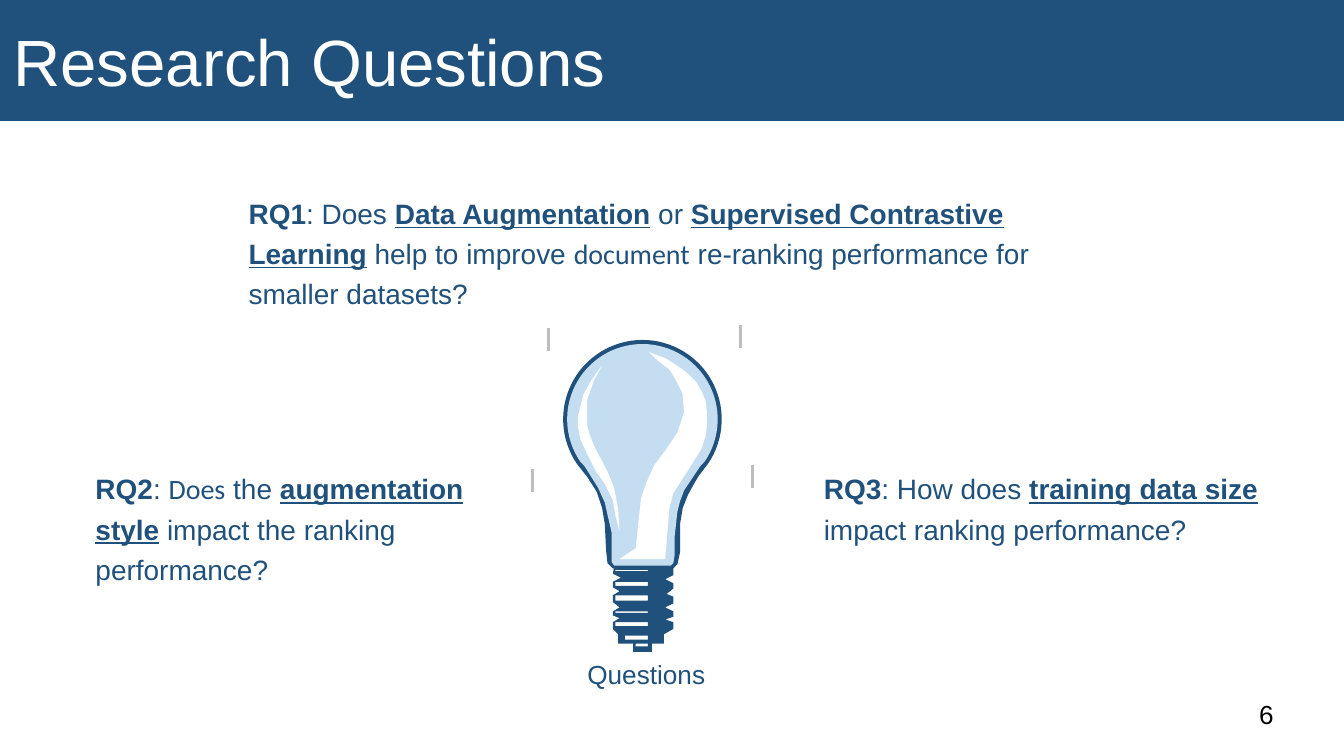
import math
from lxml import etree
from pptx import Presentation
from pptx import util as u
from pptx.dml.color import RGBColor
from pptx.enum import shapes, text

NAVY, PALE, WHITE, GREY, BLACK = "20517C", "C5DDF0", "FFFFFF", "BEBEBE", "000000"
SLIDE_WIDTH = u.Inches(10)
SLIDE_HEIGHT = SLIDE_WIDTH * 9 // 16
TITLE = "Research Questions"
PLAIN, BOLD, KEY, CALIBRI = "plain", "bold", "key", "calibri"

QUESTIONS = [
    ((1.78, 1.37, 6.53, 0.85), [
        ("RQ1", BOLD), (": Does ", PLAIN), ("Data Augmentation", KEY), (" or ", PLAIN),
        ("Supervised Contrastive Learning", KEY), (" help to improve ", PLAIN),
        ("document", CALIBRI), (" re-ranking performance for smaller datasets?", PLAIN)]),
    ((0.64, 3.42, 3.12, 0.94), [
        ("RQ2", BOLD), (": ", PLAIN), ("Does", CALIBRI), (" the ", PLAIN),
        ("augmentation style", KEY), (" impact the ranking performance?", PLAIN)]),
    ((6.06, 3.42, 3.47, 0.71), [
        ("RQ3", BOLD), (": How does ", PLAIN), ("training data size", KEY),
        (" impact ranking performance?", PLAIN)]),
]

BULB_CENTER = (4.78, 3.12)
OUTER_NECK = [
    (5.2, 3.54), (5.17, 3.59), (5.12, 3.68), (5.08, 3.78), (5.06, 3.9), (5.06, 4.11),
    (5.04, 4.2), (5.01, 4.23), (4.56, 4.23), (4.52, 4.19), (4.51, 4.1), (4.5, 3.9),
    (4.48, 3.78), (4.44, 3.66), (4.37, 3.55), (4.33, 3.5)]
INNER_NECK = [
    (5.21, 3.47), (5.09, 3.65), (5.06, 3.73), (5.04, 3.81), (5.03, 3.9), (5.02, 3.99),
    (5.02, 4.13), (5.01, 4.19), (4.99, 4.21), (4.57, 4.21), (4.55, 4.18), (4.55, 3.96),
    (4.52, 3.83), (4.5, 3.74), (4.45, 3.63), (4.35, 3.47)]
LEFT_GLINT = [
    (4.48, 2.72), (4.42, 2.83), (4.37, 2.97), (4.37, 3.17), (4.39, 3.24), (4.43, 3.34),
    (4.48, 3.43), (4.53, 3.53), (4.57, 3.63), (4.6, 3.79), (4.61, 3.95), (4.58, 3.84),
    (4.56, 3.72), (4.5, 3.6), (4.43, 3.5), (4.37, 3.38), (4.32, 3.27), (4.3, 3.18),
    (4.3, 3.1), (4.32, 3.02), (4.34, 2.94), (4.4, 2.83)]
RIGHT_GLINT = [
    (4.83, 2.62), (4.96, 2.67), (5.02, 2.71), (5.08, 2.75), (5.13, 2.79), (5.18, 2.84),
    (5.22, 2.91), (5.25, 2.98), (5.26, 3.07), (5.26, 3.17), (5.25, 3.25), (5.22, 3.34),
    (5.12, 3.5), (5.01, 3.67), (4.98, 3.79), (4.97, 3.92), (4.95, 4.16), (4.61, 4.16),
    (4.73, 4.08), (4.77, 3.71), (4.81, 3.59), (4.87, 3.46), (4.96, 3.34), (5.04, 3.22),
    (5.09, 3.07), (5.08, 2.93), (5.02, 2.81), (4.98, 2.75), (4.93, 2.71), (4.88, 2.67)]
SCREW = [
    (5.01, 4.23), (4.99, 4.21), (4.57, 4.21), (4.56, 4.27), (4.62, 4.3), (4.56, 4.33),
    (4.56, 4.37), (4.61, 4.4), (4.56, 4.43), (4.56, 4.48), (4.61, 4.52), (4.56, 4.55),
    (4.56, 4.58), (4.61, 4.6), (4.56, 4.63), (4.56, 4.68), (4.6, 4.72), (4.6, 4.79),
    (4.71, 4.79), (4.71, 4.85), (4.85, 4.85), (4.85, 4.79), (4.94, 4.79), (4.94, 4.72),
    (5.01, 4.68), (5.01, 4.63), (4.95, 4.61), (5.01, 4.59), (5.01, 4.55), (4.95, 4.52),
    (5.01, 4.49), (5.01, 4.44), (4.96, 4.42), (5.01, 4.38), (5.01, 4.34), (4.95, 4.31),
    (5.01, 4.28)]
SLOT_RIGHT = 4.82
SLOTS = [(4.58, 4.24, 4.25), (4.58, 4.33, 4.36), (4.58, 4.43, 4.47), (4.58, 4.55, 4.56),
         (4.58, 4.63, 4.66), (4.65, 4.73, 4.76), (4.73, 4.79, 4.81)]
RAY_LENGTH = 0.17
RAYS = [(5.51, 2.42), (4.08, 2.44), (3.96, 3.49), (5.6, 3.46)]


def color(value):
    return RGBColor.from_string(value)


def set_fill(shape, value):
    shape.fill.solid()
    shape.fill.fore_color.rgb = color(value)
    shape.line.fill.background()


def set_font(font, size, value):
    font.name, font.size = "Arial", u.Pt(size)
    font.color.rgb = color(value)


def set_frame(frame, horizontal, vertical, anchor):
    frame.word_wrap = True
    frame.auto_size = text.MSO_AUTO_SIZE.NONE
    frame.vertical_anchor = anchor
    frame.margin_left = frame.margin_right = u.Inches(horizontal)
    frame.margin_top = frame.margin_bottom = u.Inches(vertical)


def add_text(container, box, runs, size, value=NAVY, margins=(0.07, 0.04),
             anchor=text.MSO_ANCHOR.TOP, spacing=None):
    frame = container.add_textbox(*map(u.Inches, box)).text_frame
    set_frame(frame, *margins, anchor)
    paragraph = frame.paragraphs[0]
    paragraph.line_spacing = spacing
    set_font(paragraph.font, size, value)
    for words, style in runs:
        run = paragraph.add_run()
        run.text = words
        if style in (BOLD, KEY):
            run.font.bold = True
        if style == KEY:
            run.font.underline = True
        if style == CALIBRI:
            run.font.name = "Calibri"
    return frame


def add_outline(container, contours, value):
    scaled = [[(u.Inches(x), u.Inches(y)) for x, y in contour] for contour in contours]
    builder = container.build_freeform(*scaled[0][0])
    builder.add_line_segments(scaled[0][1:], close=True)
    for contour in scaled[1:]:
        builder.move_to(*contour[0])
        builder.add_line_segments(contour[1:], close=True)
    shape = builder.convert_to_shape()
    shape.shadow.inherit = False
    set_fill(shape, value)


def bulb_arc(radius):
    angles = [math.radians(degrees) for degrees in range(146, 395, 4)]
    return [(BULB_CENTER[0] + radius * math.cos(angle),
             BULB_CENTER[1] + radius * math.sin(angle)) for angle in angles]


def add_ray(container, x, y):
    ray = container.add_connector(shapes.MSO_CONNECTOR.STRAIGHT, u.Inches(x), u.Inches(y),
                                  u.Inches(x), u.Inches(y + RAY_LENGTH))
    ray.line.color.rgb = color(GREY)
    ray.line.width = u.Pt(1.5)
    properties = ray._element.spPr
    etree.SubElement(properties, properties.nsmap["a"].join("{}") + "effectLst")


def main():
    presentation = Presentation()
    presentation.slide_width, presentation.slide_height = SLIDE_WIDTH, SLIDE_HEIGHT
    slide = presentation.slides.add_slide(presentation.slide_layouts[5])

    title = slide.shapes.title
    title.left, title.top, title.width, title.height = map(u.Inches, (0, 0, 10, 0.9))
    set_fill(title, NAVY)
    title.text_frame.text = TITLE
    set_frame(title.text_frame, 0.1, 0.1, text.MSO_ANCHOR.MIDDLE)
    heading = title.text_frame.paragraphs[0]
    heading.alignment = text.PP_ALIGN.LEFT
    set_font(heading.font, 35, WHITE)

    add_text(slide.shapes, (9.27, 5.1, 0.6, 0.43), [("6", PLAIN)], 14, BLACK,
             (0.1, 0.1), text.MSO_ANCHOR.MIDDLE)
    for box, runs in QUESTIONS:
        add_text(slide.shapes, box, runs, 15, spacing=1.2)

    bulb = slide.shapes.add_group_shape().shapes
    add_outline(bulb, [bulb_arc(0.59) + OUTER_NECK], NAVY)
    add_outline(bulb, [bulb_arc(0.56) + INNER_NECK], PALE)
    add_outline(bulb, [LEFT_GLINT, RIGHT_GLINT], WHITE)
    slots = [[(left, top), (SLOT_RIGHT, top), (SLOT_RIGHT, bottom), (left, bottom)]
             for left, top, bottom in SLOTS]
    add_outline(bulb, [SCREW] + slots, NAVY)
    for x, y in RAYS:
        add_ray(bulb, x, y)
    caption = add_text(bulb, (4.3, 4.86, 1.16, 0.31), [("Questions", PLAIN)], 14)
    caption.auto_size = text.MSO_AUTO_SIZE.SHAPE_TO_FIT_TEXT

    presentation.save("out.pptx")


if __name__ == "__main__":
    main()
